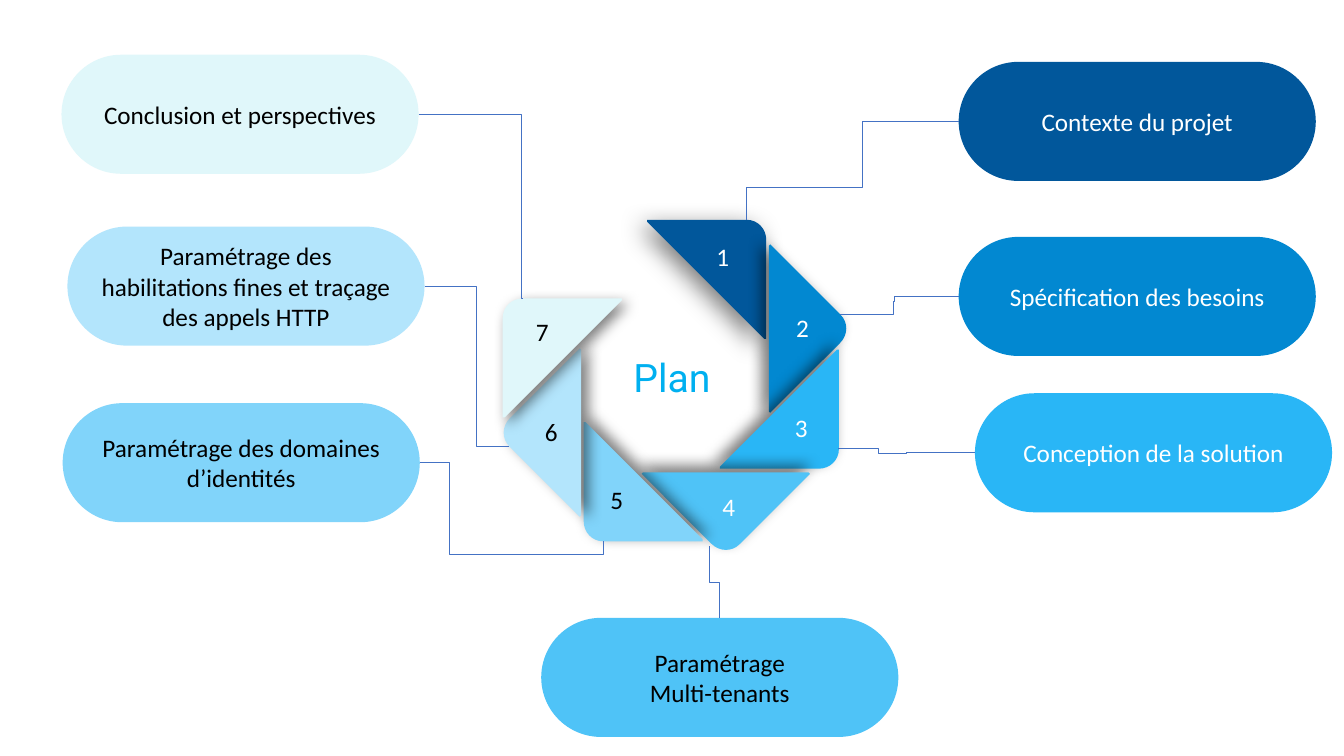
"""Build the agenda slide: a seven-petal wheel linked to its chapter pills."""
from lxml import etree
from pptx import Presentation
from pptx.dml.color import RGBColor
from pptx.enum.shapes import MSO_CONNECTOR, MSO_SHAPE
from pptx.enum.text import MSO_ANCHOR, PP_ALIGN
from pptx.oxml import parse_xml
from pptx.oxml.ns import nsdecls, qn
from pptx.util import Cm, Pt

ELBOW = MSO_CONNECTOR.ELBOW
ROUND, OVAL = MSO_SHAPE.ROUNDED_RECTANGLE, MSO_SHAPE.OVAL
MIDDLE, CENTER = MSO_ANCHOR.MIDDLE, PP_ALIGN.CENTER

BLACK = RGBColor(0x00, 0x00, 0x00)
WHITE = RGBColor(0xFF, 0xFF, 0xFF)
TITLE = RGBColor(0x00, 0xB0, 0xF0)
WIRE = RGBColor(0x44, 0x72, 0xC4)
NAVY = RGBColor(0x01, 0x57, 0x9B)
BLUE = RGBColor(0x02, 0x88, 0xD1)
AZURE = RGBColor(0x29, 0xB6, 0xF6)
SKY = RGBColor(0x4F, 0xC3, 0xF7)
LIGHT = RGBColor(0x81, 0xD4, 0xFA)
PALE = RGBColor(0xB3, 0xE5, 0xFC)
ICE = RGBColor(0xE0, 0xF7, 0xFA)

PILL_W, PILL_H = 9, 3
DISC_W, DISC_H = 1.63, 1.37

# text, fill, pill ink, number ink, pill, petal, number, wire end, wire bends
STEPS = [
    ("Contexte du projet", NAVY, WHITE, WHITE, (24.16, 1.56),
     (16.31, 5.54), (17.4, 5.77), (18.8, 5.54), (0.453, 0.668)),
    ("Spécification des besoins", BLUE, WHITE, WHITE, (24.16, 5.97),
     (17.91, 6.78), (19.41, 7.57), (21.18, 7.92), (0.545, 0.27, 0.55)),
    ("Conception de la solution", AZURE, WHITE, WHITE, (24.57, 9.91),
     (18.14, 8.81), (19.38, 10.08), (21.13, 11.3), (0.5, -0.179, 0.709)),
    ("Paramétrage\nMulti-tenants", SKY, BLACK, WHITE, (13.64, 15.57),
     (16.79, 10.44), (17.55, 12.07), (17.88, 13.77), (0.5,)),
    ("Paramétrage des domaines d’identités", LIGHT, BLACK, BLACK,
     (1.58, 10.16), (14.71, 10.64), (14.73, 11.89), (15.21, 13.64),
     (0.161, 1.161)),
    ("Paramétrage des habilitations fines et traçage des appels HTTP", PALE,
     BLACK, BLACK, (1.7, 5.71), (13.11, 9.4), (13.08, 10.19),
     (12.83, 11.25), (0.61,)),
    ("Conclusion et perspectives", ICE, BLACK, BLACK, (1.55, 1.38),
     (12.67, 7.52), (12.85, 7.67), (13.18, 7.52), (0.985,)),
]


def write(shape, text, size, name, ink):
    """Fill a shape with centred text in one font."""
    frame = shape.text_frame
    frame.word_wrap = True
    frame.text = text
    for para in frame.paragraphs:
        para.alignment = CENTER
        para.font.size = Pt(size)
        para.font.name = name
        para.font.color.rgb = ink


def paint(shape, fill=None):
    """Give a shape a flat fill, or none, without line or shadow."""
    shape.shadow.inherit = False
    shape.line.fill.background()
    if fill is None:
        shape.fill.background()
    else:
        shape.fill.solid()
        shape.fill.fore_color.rgb = fill


def shade(shape, angle, blur, dist, alpha):
    """Add a soft black shadow cast at an angle in degrees."""
    effects = shape._element.spPr.find(qn("a:effectLst"))
    effects.append(parse_xml(
        f'<a:outerShdw {nsdecls("a")} blurRad="{Pt(blur)}" dist="{Pt(dist)}" '
        f'dir="{angle % 360 * 60000}" algn="ctr" rotWithShape="0">'
        f'<a:srgbClr val="000000"><a:alpha val="{alpha * 1000}"/></a:srgbClr>'
        '</a:outerShdw>'))


def add_petal(slide, place, angle, fill, cast):
    """Draw a triangle with one rounded corner, turned by an angle."""
    pen = slide.shapes.build_freeform(51, 0, scale=Cm(1) / 100)
    pen.add_line_segments([(300, 0), (300, 5), (5, 300), (0, 300), (0, 49)])
    petal = pen.convert_to_shape(Cm(place[0]), Cm(place[1]))
    close = petal._element.xpath(".//a:close")[0]
    close.addprevious(parse_xml(
        f'<a:cubicBezTo {nsdecls("a")}><a:pt x="0" y="22"/>'
        '<a:pt x="22" y="0"/><a:pt x="51" y="0"/></a:cubicBezTo>'))
    petal.rotation = angle % 360
    paint(petal, fill)
    shade(petal, angle + 45, *cast)


def add_label(slide, kind, place, size, text, ink, fill=None):
    """Add a labelled pill or a clear number disc."""
    shape = slide.shapes.add_shape(kind, *map(Cm, place + size))
    if kind == ROUND:
        shape.adjustments[0] = 0.5
    paint(shape, fill)
    shape.text_frame.vertical_anchor = MIDDLE
    write(shape, text, 18, "Calibri", ink)


def add_wire(slide, start, end, bends, upright=False):
    """Link two points by an elbow line with the given bends."""
    if upright:
        mid_x, mid_y = (start[0] + end[0]) / 2, (start[1] + end[1]) / 2
        start, end = [(mid_x + mid_y - y, mid_y + x - mid_x)
                      for x, y in (start, end)]
    wire = slide.shapes.add_connector(ELBOW, *map(Cm, start + end))
    wire.line.color.rgb = WIRE
    wire.line.width = Pt(0.5)
    props = wire._element.spPr
    etree.SubElement(props, qn("a:effectLst"))
    if upright:
        props.find(qn("a:xfrm")).set("rot", str(270 * 60000))
    shape = props.find(qn("a:prstGeom"))
    shape.set("prst", f"bentConnector{len(bends) + 2}")
    guides = shape.find(qn("a:avLst"))
    if guides is None:
        guides = etree.SubElement(shape, qn("a:avLst"))
    for index, bend in enumerate(bends, 1):
        etree.SubElement(guides, qn("a:gd"), name=f"adj{index}",
                         fmla=f"val {round(bend * 100000)}")


def main():
    """Lay out the wheel, the pills and the wires."""
    deck = Presentation()
    deck.slide_width, deck.slide_height = Cm(33.87), Cm(19.05)
    slide = deck.slides.add_slide(deck.slide_layouts[6])
    title = slide.shapes.add_textbox(Cm(14.99), Cm(8.79), Cm(3.89), Cm(1.45))
    write(title, "Plan", 28, "Roboto", TITLE)

    for num, (_, fill, _, _, _, petal, _, _, _) in enumerate(STEPS, 1):
        cast = (18, 7, 51) if num == 1 else (10, 5, 50)
        add_petal(slide, petal, 45 * (num + 1), fill, cast)

    for num, step in enumerate(STEPS, 1):
        text, fill, ink, num_ink, pill, _, disc, end, bends = step
        add_label(slide, ROUND, pill, (PILL_W, PILL_H), text, ink, fill)
        add_label(slide, OVAL, disc, (DISC_W, DISC_H), str(num), num_ink)
        left, top = pill
        if num == 4:
            start = (left + PILL_W / 2, top)
        else:
            start = (left + PILL_W * (num > 4), top + PILL_H / 2)
        add_wire(slide, start, end, bends, upright=num == 4)

    deck.save("out.pptx")


if __name__ == "__main__":
    main()
